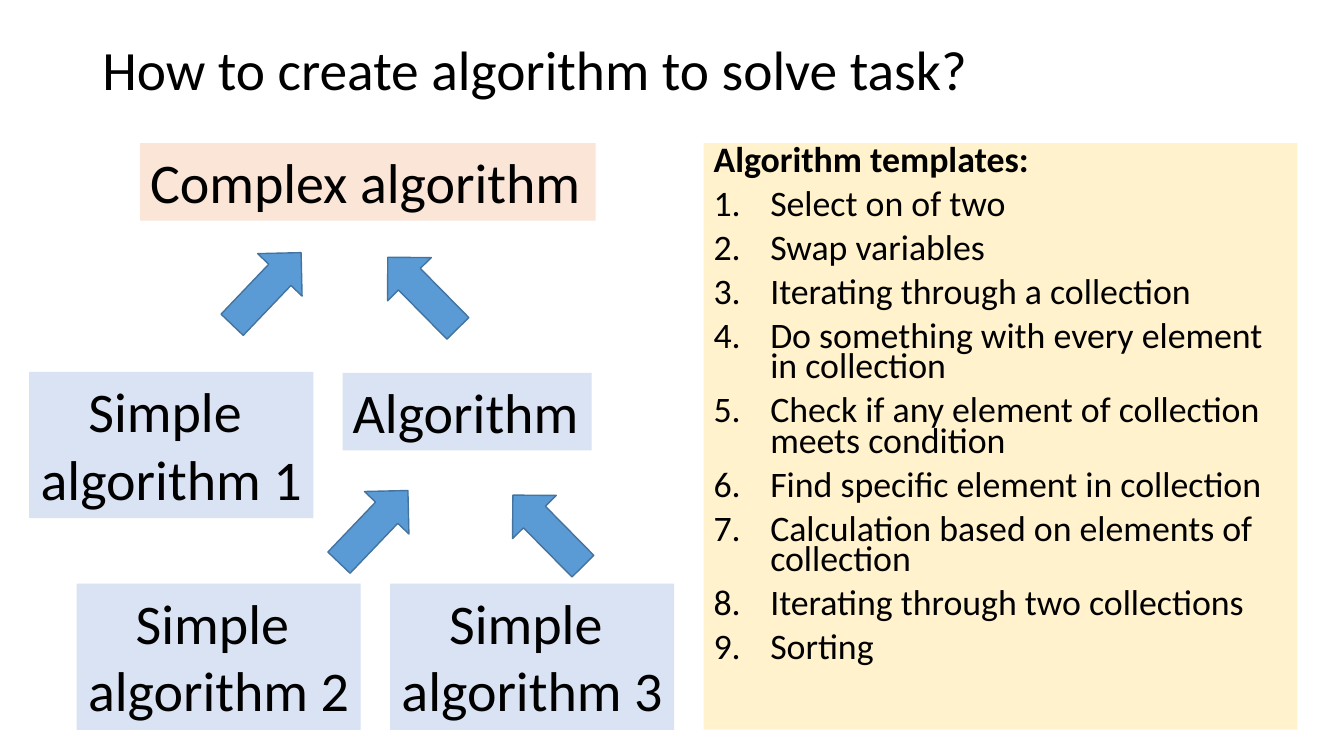
from lxml import etree
from pptx import Presentation
from pptx.dml.color import RGBColor
from pptx.enum.shapes import MSO_SHAPE
from pptx.enum.text import MSO_ANCHOR, MSO_AUTO_SIZE, PP_ALIGN
from pptx.oxml.ns import qn
from pptx.util import Pt

RECTANGLE = MSO_SHAPE.RECTANGLE
RIGHT_ARROW = MSO_SHAPE.RIGHT_ARROW
TOP, MIDDLE = MSO_ANCHOR.TOP, MSO_ANCHOR.MIDDLE
FIT_SHAPE = MSO_AUTO_SIZE.SHAPE_TO_FIT_TEXT
LEFT, CENTER = PP_ALIGN.LEFT, PP_ALIGN.CENTER

BLACK = RGBColor(0x00, 0x00, 0x00)
CREAM = RGBColor(0xFF, 0xF2, 0xCC)
PEACH = RGBColor(0xFB, 0xE5, 0xD6)
PALE_BLUE = RGBColor(0xDA, 0xE3, 0xF3)
BLUE = RGBColor(0x5B, 0x9B, 0xD5)
DARK_BLUE = RGBColor(0x43, 0x73, 0x9E)

TEMPLATES = [
    "Select on of two",
    "Swap variables",
    "Iterating through a collection",
    "Do something with every element in collection",
    "Check if any element of collection meets condition",
    "Find specific element in collection",
    "Calculation based on elements of collection",
    "Iterating through two collections",
    "Sorting",
]
SIMPLE_ALGORITHMS = [(1, 20.9, 265.7), (2, 54.7, 416.9), (3, 278.6, 416.9)]
UP_RIGHT, UP_LEFT = 313.7, 225.4
ARROWS = [
    (231.1, 354.2, UP_RIGHT),
    (355.7, 357.1, UP_LEFT),
    (154.8, 184.3, UP_RIGHT),
    (266.4, 187.2, UP_LEFT),
]


class SlideBuilder:
    """Draws styled elements on the current slide."""

    font_name = "Calibri"
    box_size = 40
    list_size = 25.6
    list_indent = 40.5

    def __init__(self, slide):
        self.slide = slide

    def add_text(self, paragraph, text, size, bold=False):
        run = paragraph.add_run()
        run.text = text
        run.font.name = self.font_name
        run.font.size = Pt(size)
        run.font.bold = bold
        run.font.color.rgb = BLACK

    def shape(self, kind, left, top, width, height, fill):
        shape = self.slide.shapes.add_shape(kind, Pt(left), Pt(top), Pt(width), Pt(height))
        shape.shadow.inherit = False
        shape.fill.solid()
        shape.fill.fore_color.rgb = fill
        shape.line.fill.background()
        return shape

    def title(self, text, left, top, width, height):
        box = self.slide.shapes.add_textbox(Pt(left), Pt(top), Pt(width), Pt(height))
        frame = box.text_frame
        frame.word_wrap = True
        frame.vertical_anchor = MIDDLE
        paragraph = frame.paragraphs[0]
        paragraph.line_spacing = 0.9
        self.add_text(paragraph, text, 39.6)

    def box(self, lines, left, top, width, height, fill, alignment=LEFT):
        frame = self.shape(RECTANGLE, left, top, width, height, fill).text_frame
        frame.word_wrap = False
        frame.auto_size = FIT_SHAPE
        frame.vertical_anchor = TOP
        for index, line in enumerate(lines):
            paragraph = frame.add_paragraph() if index else frame.paragraphs[0]
            paragraph.alignment = alignment
            self.add_text(paragraph, line, self.box_size)

    def numbered_list(self, heading, items, left, top, width, height):
        frame = self.shape(RECTANGLE, left, top, width, height, CREAM).text_frame
        frame.word_wrap = True
        frame.vertical_anchor = TOP
        for index, text in enumerate([heading, *items]):
            paragraph = frame.add_paragraph() if index else frame.paragraphs[0]
            paragraph.alignment = LEFT
            paragraph.line_spacing = 0.7
            paragraph.space_before = Pt(10)
            self.add_text(paragraph, text, self.list_size, bold=index == 0)
            if index:
                self.number(paragraph)

    def number(self, paragraph):
        properties = paragraph._p.get_or_add_pPr()
        indent = Pt(self.list_indent)
        properties.set("marL", str(indent))
        properties.set("indent", str(-indent))
        etree.SubElement(properties, qn("a:buFont"), typeface="+mj-lt")
        etree.SubElement(properties, qn("a:buAutoNum"), type="arabicPeriod")

    def arrow(self, left, top, rotation):
        arrow = self.shape(RIGHT_ARROW, left, top, 71.3, 43.9, BLUE)
        arrow.line.color.rgb = DARK_BLUE
        arrow.line.width = Pt(1)
        arrow.rotation = rotation


def main():
    presentation = Presentation()
    presentation.slide_width = Pt(960)
    presentation.slide_height = Pt(540)
    builder = SlideBuilder(presentation.slides.add_slide(presentation.slide_layouts[6]))

    builder.title("How to create algorithm to solve task?", 66, 28.8, 828, 46)
    builder.numbered_list("Algorithm templates:", TEMPLATES, 502.6, 102.2, 424.1, 419)
    builder.box(["Complex algorithm"], 100.1, 102.2, 325.4, 55.4, PEACH)
    builder.box(["Algorithm"], 244.8, 266.4, 177.8, 55.4, PALE_BLUE)
    for number, left, top in SIMPLE_ALGORITHMS:
        lines = ["Simple ", f"algorithm {number}"]
        builder.box(lines, left, top, 203, 104.4, PALE_BLUE, CENTER)
    for left, top, rotation in ARROWS:
        builder.arrow(left, top, rotation)

    presentation.save("out.pptx")


if __name__ == "__main__":
    main()
